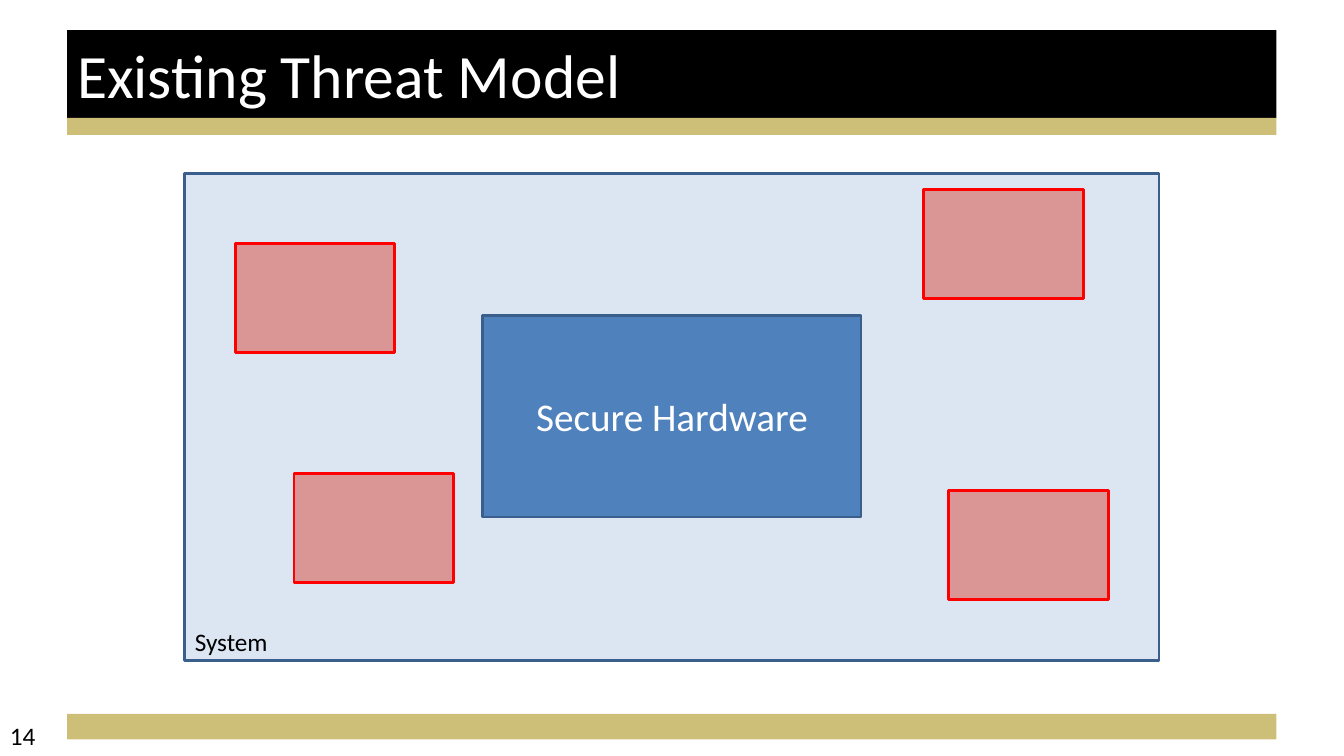
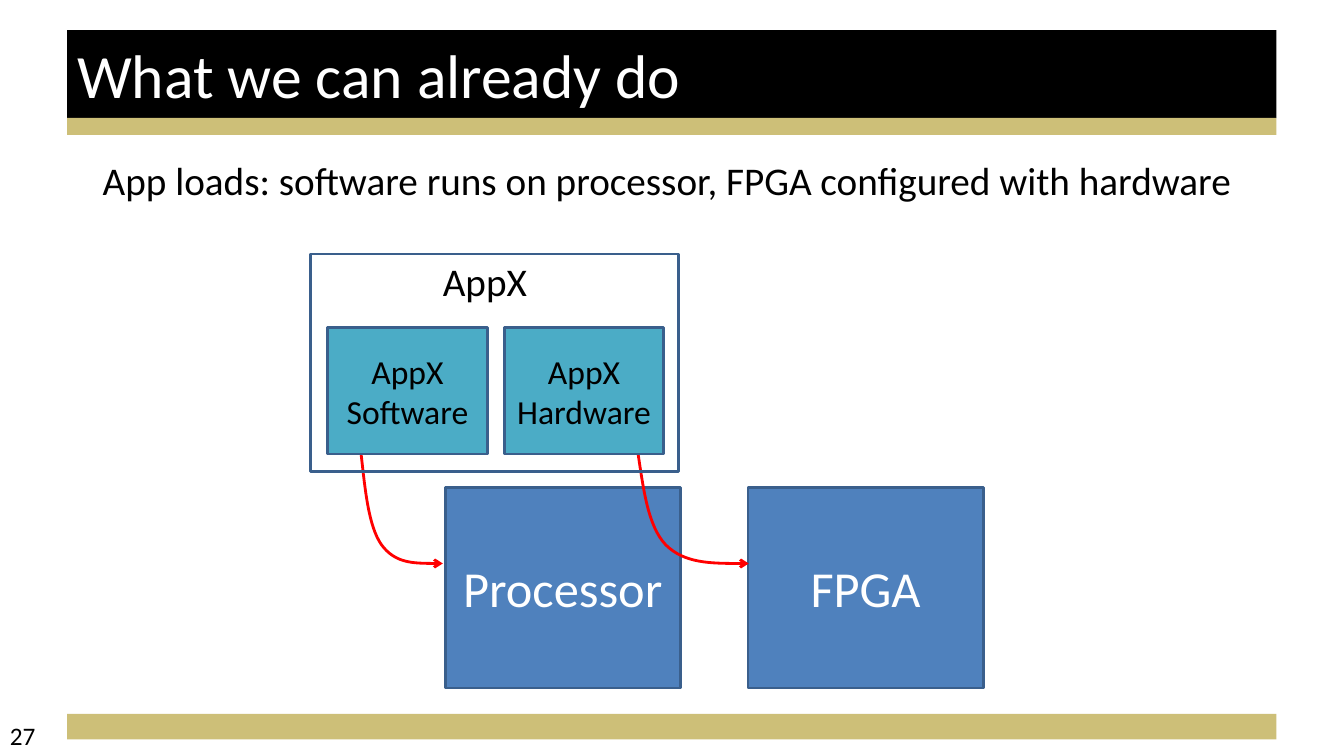
"""Build two slides on a secure hardware threat model and app loading."""
from dataclasses import dataclass

from lxml import etree
from pptx import Presentation
from pptx.dml.color import RGBColor
from pptx.enum.shapes import MSO_SHAPE
from pptx.enum.text import MSO_ANCHOR, MSO_AUTO_SIZE, PP_ALIGN
from pptx.oxml.ns import qn
from pptx.util import Cm, Pt

RECTANGLE = MSO_SHAPE.RECTANGLE
LEFT, CENTER = PP_ALIGN.LEFT, PP_ALIGN.CENTER
TOP, MIDDLE = MSO_ANCHOR.TOP, MSO_ANCHOR.MIDDLE
FIXED = MSO_AUTO_SIZE.NONE
TITLE_ONLY = 5


@dataclass(frozen=True)
class Theme:
    font: str = "Calibri"
    black: str = "000000"
    white: str = "FFFFFF"
    gold: str = "CDBF78"
    outline: str = "3A5F8C"
    block: str = "4F81BD"
    system: str = "DCE6F2"
    threat: str = "D99694"
    alert: str = "FF0000"
    tile: str = "4BACC6"
    title: int = 44
    large: int = 36
    medium: int = 28
    small: int = 24
    label: int = 18
    line: int = 2


THEME = Theme()
TITLE_AREA = (1.69, 0.76, 30.48, 2.22)
BANDS = (
    ((1.69, 17.99, 30.48, 0.64), THEME.gold),
    (TITLE_AREA, THEME.black),
    ((1.69, 2.97, 30.48, 0.43), THEME.gold),
)
NUMBER_AREA = (0, 18.03, 7.9, 1.02)
CURVE = ((0.05, 0.33), (0.09, 0.66), (0.25, 0.83), (0.42, 1), (0.71, 1), (1, 1))


def assign(target, values):
    for name, value in values.items():
        setattr(target, name, value)


def place(shape, area):
    assign(shape, dict(zip(("left", "top", "width", "height"), map(Cm, area))))


class SlideMaker:
    def __init__(self, theme):
        self.theme = theme
        self.deck = Presentation()
        assign(self.deck, {"slide_width": Cm(33.87), "slide_height": Cm(19.05)})
        self.layout = self.deck.slide_layouts[TITLE_ONLY]
        place(self.layout.placeholders[0], TITLE_AREA)
        self.slide = self.shapes = None

    def start(self, title, number):
        first = self.slide is None
        self.slide = self.deck.slides.add_slide(self.layout)
        self.shapes = self.slide.shapes
        if first:
            self.add_bands()
        self.set_text(self.shapes.title, title, self.theme.title,
                      self.theme.white, LEFT, MIDDLE)
        self.text(NUMBER_AREA, number, self.theme.label)

    def add_bands(self):
        tree = self.layout.shapes.element
        for order, (area, color) in enumerate(BANDS):
            band = self.rectangle(area, color, None).element
            band.xpath(".//p:cNvPr")[0].set("id", str(100 + order))
            tree.insert(2 + order, band)

    def set_text(self, box, text, size, color, align, anchor):
        frame = box.text_frame
        frame.text = text
        assign(frame, {"word_wrap": True, "auto_size": FIXED,
                       "vertical_anchor": anchor})
        for para in frame.paragraphs:
            para.alignment = align
            for span in para.runs:
                assign(span.font, {"name": self.theme.font, "size": Pt(size)})
                span.font.color.rgb = RGBColor.from_string(color)

    def text(self, area, text, size, align=LEFT):
        box = self.shapes.add_textbox(*map(Cm, area))
        self.set_text(box, text, size, self.theme.black, align, TOP)

    def paint(self, shape, fill, line):
        shape.shadow.inherit = False
        for target, color in ((shape.fill, fill), (shape.line.fill, line)):
            if color is None:
                target.background()
            else:
                target.solid()
                target.fore_color.rgb = RGBColor.from_string(color)
        if line:
            shape.line.width = Pt(self.theme.line)

    def rectangle(self, area, fill, line):
        shape = self.shapes.add_shape(RECTANGLE, *map(Cm, area))
        self.paint(shape, fill, line)
        return shape

    def block(self, area, text, fill, size, color):
        shape = self.rectangle(area, fill, self.theme.outline)
        self.set_text(shape, text, size, color, CENTER, MIDDLE)

    def curved_arrow(self, left, top, width, height):
        builder = self.shapes.build_freeform(Cm(left), Cm(top))
        builder.add_line_segments(
            [(Cm(left + x * width), Cm(top + y * height)) for x, y in CURVE],
            close=False)
        arrow = builder.convert_to_shape()
        self.paint(arrow, None, self.theme.alert)
        segments = arrow.element.xpath(".//a:lnTo")
        outline = segments[0].getparent()
        for start in range(0, len(segments), 3):
            curve = etree.SubElement(outline, qn("a:cubicBezTo"))
            for segment in segments[start:start + 3]:
                curve.append(segment[0])
                outline.remove(segment)
        line = arrow.element.xpath("./p:spPr/a:ln")[0]
        etree.SubElement(line, qn("a:tailEnd"), type="arrow")

    def start_group(self):
        self.shapes = self.slide.shapes.add_group_shape().shapes


def threat_model(maker):
    theme = maker.theme
    maker.start("Existing Threat Model", "14")
    maker.rectangle((4.66, 4.37, 24.55, 12.28), theme.system, theme.outline)
    for left, top in ((5.93, 6.14), (7.41, 11.94), (23.28, 4.78), (23.91, 12.36)):
        maker.rectangle((left, top, 4.02, 2.75), theme.threat, theme.alert)
    maker.text((4.66, 15.66, 4.02, 1.02), "System", theme.label)
    maker.block((12.17, 7.95, 9.53, 5.08), "Secure Hardware",
                theme.block, theme.medium, theme.white)


def app_loading(maker):
    theme = maker.theme
    maker.start("What we can already do", "27")
    for left, name in ((11.22, "Processor"), (18.85, "FPGA")):
        maker.block((left, 12.28, 5.93, 5.06), name,
                    theme.block, theme.large, theme.white)
    for left, width in ((9.1, 2.06), (16.08, 2.79)):
        maker.curved_arrow(left, 11.43, width, 2.77)
    maker.text((2.34, 3.81, 29.5, 1.45),
               "App loads: software runs on processor, FPGA configured with hardware",
               theme.medium)
    maker.start_group()
    maker.rectangle((7.83, 6.4, 9.27, 5.49), None, theme.outline)
    maker.text((10.05, 6.35, 4.34, 1.45), "AppX", theme.medium, CENTER)
    for column, part in enumerate(("Software", "Hardware")):
        maker.block((8.26 + column * 4.45, 8.26, 4.02, 3.18), f"AppX\n{part}",
                    theme.tile, theme.small, theme.black)


def main():
    maker = SlideMaker(THEME)
    threat_model(maker)
    app_loading(maker)
    maker.deck.save("out.pptx")


if __name__ == "__main__":
    main()
